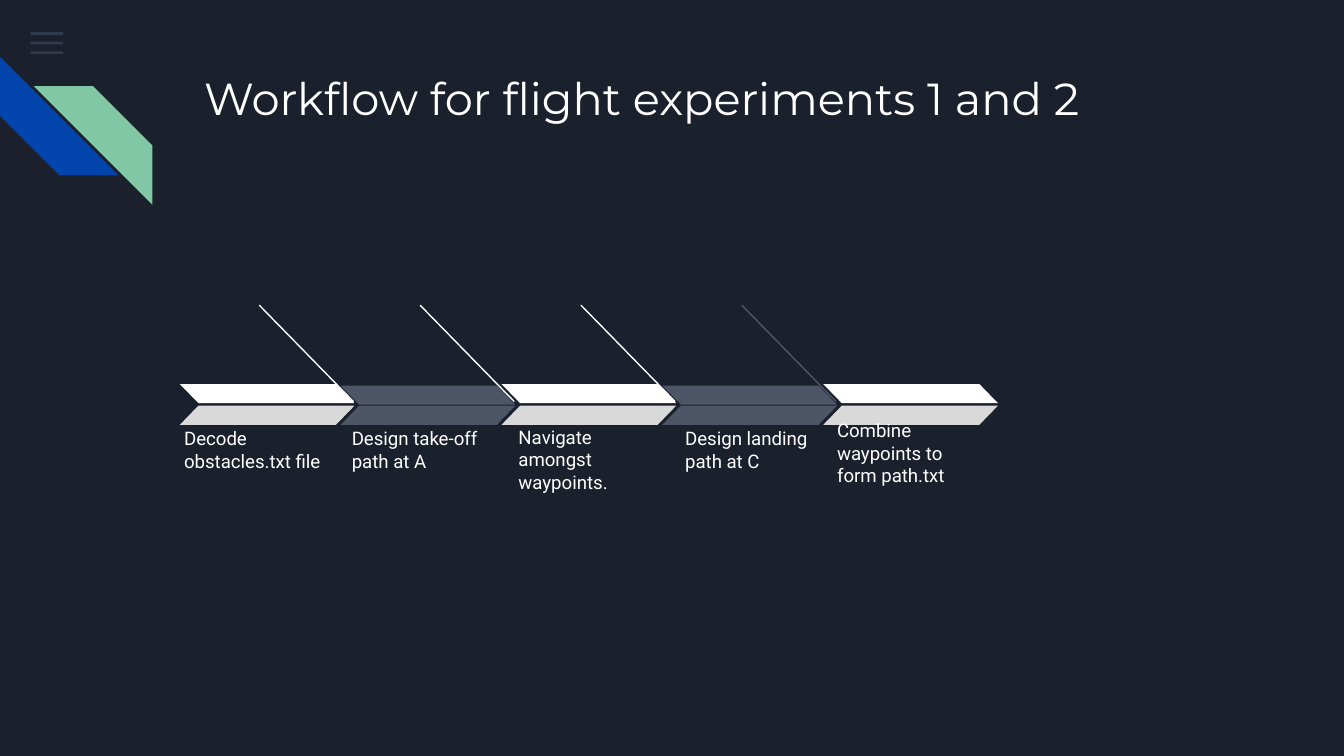
"""Build the slide showing the workflow for flight experiments 1 and 2."""
from lxml.etree import SubElement
from pptx import Presentation
from pptx.dml.color import RGBColor
from pptx.enum.shapes import MSO_CONNECTOR, MSO_SHAPE
from pptx.enum.text import MSO_ANCHOR
from pptx.oxml.ns import qn
from pptx.util import Cm, Pt


def add_text(text, left, top, width, height, size=10, font="Roboto", anchor=MSO_ANCHOR.TOP):
    frame = slide.shapes.add_textbox(Cm(left), Cm(top), Cm(width), Cm(height)).text_frame
    frame.word_wrap = True
    frame.vertical_anchor = anchor
    frame.margin_left = frame.margin_right = Cm(0.25)
    frame.margin_top = frame.margin_bottom = Cm(0.25)
    paragraph = frame.paragraphs[0]
    paragraph.text = text
    paragraph.font.size = Pt(size)
    paragraph.font.name = font
    paragraph.font.color.rgb = RGBColor.from_string("FFFFFF")


def add_shape(kind, left, top, width, height, color, adjustment=None, flip=False):
    shape = slide.shapes.add_shape(kind, Cm(left), Cm(top), Cm(width), Cm(height))
    shape.shadow.inherit = False
    shape.fill.solid()
    shape.fill.fore_color.rgb = RGBColor.from_string(color)
    shape.line.fill.background()
    if adjustment is not None:
        shape.adjustments[0] = adjustment
    if flip:
        shape.element.spPr.find(qn("a:xfrm")).set("flipH", "1")
    return shape


presentation = Presentation()
presentation.slide_width = Cm(25.4)
presentation.slide_height = Cm(14.29)
slide = presentation.slides.add_slide(presentation.slide_layouts[6])
slide.background.fill.solid()
slide.background.fill.fore_color.rgb = RGBColor.from_string("1B212C")

for row in range(3):
    menu_line = add_shape(MSO_SHAPE.RECTANGLE, 0.58, 0.61 + 0.18 * row, 0.61, 0.05, "55688B")
    color_element = menu_line.element.spPr.find(qn("a:solidFill"))[0]
    SubElement(color_element, qn("a:alpha")).set("val", "36000")

blue_stripe = add_shape(MSO_SHAPE.DIAGONAL_STRIPE, 0, 1.07, 2.24, 2.24, "0145AC", 0.5)
blue_stripe.rotation = 270
add_shape(MSO_SHAPE.DIAGONAL_STRIPE, 0.64, 1.63, 2.24, 2.24, "82C7A5", 0.5, flip=True)

add_text("Workflow for flight experiments 1 and 2", 3.61, 1.09, 19.56, 2.54, size=24, font="Montserrat")

light = ("FFFFFF", "D9D9D9", 7.26)
dark = ("4E5567", "4E5567", 7.29)
bottom, top_anchor = MSO_ANCHOR.BOTTOM, MSO_ANCHOR.TOP
steps = [
    ("Decode obstacles.txt file", light, "FFFFFF", 3.23, 8.05, 3.25, 1.12, bottom),
    ("Design take-off path at A", dark, "FFFFFF", 6.4, 8.05, 3.15, 1.12, bottom),
    ("Navigate amongst waypoints.", light, "FFFFFF", 9.55, 8.05, 3.15, 1.52, bottom),
    ("Design landing path at C", dark, "4E5567", 12.7, 8.05, 3.15, 1.12, bottom),
    ("Combine waypoints to form path.txt", light, None, 15.57, 7.67, 3.15, 1.52, top_anchor),
]
for index, (label, style, line_color, left, top, width, height, anchor) in enumerate(steps):
    upper_color, lower_color, upper_top = style
    bar_left = 3.4 + 3.04 * index
    if line_color:
        connector = slide.shapes.add_connector(
            MSO_CONNECTOR.STRAIGHT, Cm(bar_left + 1.5), Cm(5.77), Cm(bar_left + 3.28), Cm(7.59))
        connector.line.color.rgb = RGBColor.from_string(line_color)
        connector.line.width = Pt(0.75)
        SubElement(connector.element.spPr, qn("a:effectLst"))
    add_shape(MSO_SHAPE.PARALLELOGRAM, bar_left, upper_top, 3.3, 0.36, upper_color, 0.97, flip=True)
    add_shape(MSO_SHAPE.PARALLELOGRAM, bar_left, 7.67, 3.3, 0.36, lower_color, 0.97)
    add_text(label, left, top, width, height, anchor=anchor)

presentation.save("out.pptx")
